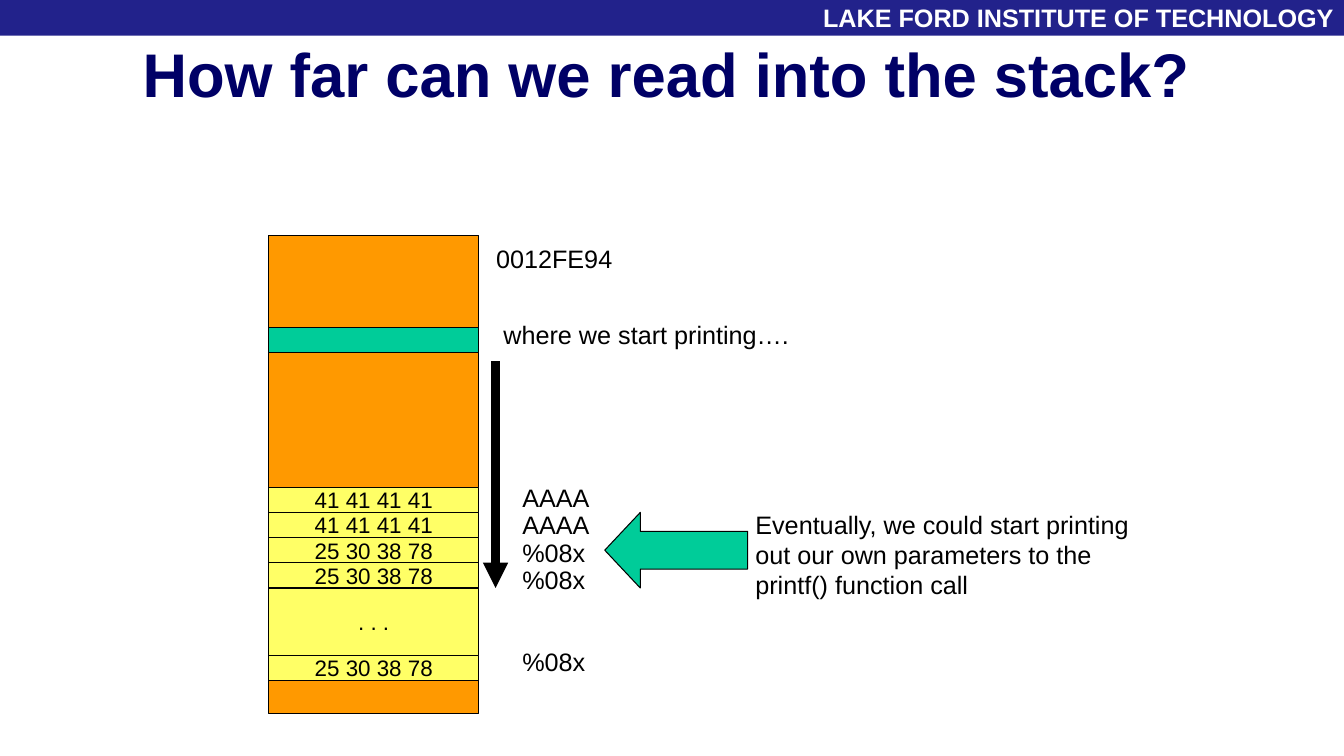
from typing import NamedTuple

from lxml import etree
from pptx import Presentation
from pptx import util as u
from pptx.dml.color import RGBColor
from pptx.enum import shapes, text
from pptx.oxml.ns import qn

PX = 9525
FONT = "Arial"
BLACK, WHITE = "000000", "FFFFFF"
NAVY, TITLE_BLUE = "22228B", "000066"
ORANGE, GREEN, YELLOW = "FF9900", "00CC99", "FFFF66"
STACK_LEFT, STACK_WIDTH, ROW = 256, 200, 24


class Cell(NamedTuple):
    top: int
    height: int
    fill: str
    words: str = ""


class Label(NamedTuple):
    left: int
    top: int
    width: int
    height: int
    words: str
    wrap: bool = False


def px(length: int) -> u.Emu:
    return u.Emu(length * PX)


def colour(value: str) -> RGBColor:
    return RGBColor.from_string(value)


def write(frame, words: str, *, size: int = 18, ink: str = BLACK, bold: bool = False,
          align=text.PP_ALIGN.LEFT, anchor=text.MSO_ANCHOR.TOP,
          wrap: bool = True, spacing: float = 1.0) -> None:
    frame.word_wrap = wrap
    frame.vertical_anchor = anchor
    frame.text = words
    for para in frame.paragraphs:
        para.alignment = align
        para.line_spacing = spacing
        for span in para.runs:
            span.font.name = FONT
            span.font.size = u.Pt(size)
            span.font.bold = bold
            span.font.color.rgb = colour(ink)


def add_block(page, kind, left: int, top: int, width: int, height: int,
              fill: str, outlined: bool = True):
    block = page.shapes.add_shape(kind, px(left), px(top), px(width), px(height))
    block.shadow.inherit = False
    block.fill.solid()
    block.fill.fore_color.rgb = colour(fill)
    if outlined:
        block.line.color.rgb = colour(BLACK)
        block.line.width = u.Pt(0.75)
    else:
        block.line.fill.background()
    return block


def add_cell(page, cell: Cell) -> None:
    block = add_block(page, shapes.MSO_SHAPE.RECTANGLE, STACK_LEFT, cell.top,
                      STACK_WIDTH, cell.height, cell.fill)
    if cell.words:
        block.text_frame.margin_top = block.text_frame.margin_bottom = 0
        write(block.text_frame, cell.words, size=16, wrap=False,
              align=text.PP_ALIGN.CENTER, anchor=text.MSO_ANCHOR.MIDDLE)


def add_label(page, label: Label, spacing: float = 1.0):
    box = page.shapes.add_textbox(px(label.left), px(label.top),
                                  px(label.width), px(label.height))
    write(box.text_frame, label.words, wrap=label.wrap, spacing=spacing)
    return box


def add_arrow(page, x: int, top: int, bottom: int) -> None:
    arrow = page.shapes.add_connector(shapes.MSO_CONNECTOR.STRAIGHT,
                                      px(x), px(top), px(x), px(bottom))
    arrow.line.color.rgb = colour(BLACK)
    arrow.line.width = u.Pt(6)
    etree.SubElement(arrow.line._get_or_add_ln(), qn("a:tailEnd"), type="triangle")
    etree.SubElement(arrow._element.spPr, qn("a:effectLst"))


def main() -> None:
    deck = Presentation()
    deck.slide_width, deck.slide_height = px(1280), px(720)
    page = deck.slides.add_slide(deck.slide_layouts[5])

    # Header band and title
    band = add_block(page, shapes.MSO_SHAPE.RECTANGLE, 0, 0, 1280, 34, NAVY, outlined=False)
    write(band.text_frame, "LAKE FORD INSTITUTE OF TECHNOLOGY", ink=WHITE, bold=True,
          align=text.PP_ALIGN.RIGHT, anchor=text.MSO_ANCHOR.MIDDLE)
    title = page.shapes.title
    title.left, title.top, title.width, title.height = px(54), px(29), px(1162), px(120)
    write(title.text_frame, "How far can we read into the stack?", size=44,
          ink=TITLE_BLUE, bold=True, align=text.PP_ALIGN.CENTER)

    # Stack, with the format string's bytes as rows
    add_cell(page, Cell(224, 456, ORANGE))
    add_cell(page, Cell(312, ROW, GREEN))
    letters, specifier = "41 41 41 41", "25 30 38 78"
    rows = [(letters, ROW), (letters, ROW), (specifier, ROW), (specifier, ROW),
            (". . .", 64), (specifier, ROW)]
    top = 464
    for words, height in rows:
        add_cell(page, Cell(top, height, YELLOW, words))
        top += height

    # Labels beside the stack
    for label in (
        Label(463, 227, 130, 38, "0012FE94"),
        Label(470, 299, 291, 38, "where we start printing…."),
        Label(710, 480, 410, 96, "Eventually, we could start printing out our own "
              "parameters to the printf() function call", wrap=True),
    ):
        add_label(page, label)
    printed = add_label(page, Label(488, 458, 83, 192, "AAAA\nAAAA\n%08x\n%08x\n%08x"),
                        spacing=0.9)
    printed.text_frame.paragraphs[-1].space_before = u.Pt(39)

    # Reading direction and pointer to our own parameters
    add_arrow(page, 472, 344, 560)
    pointer = add_block(page, shapes.MSO_SHAPE.LEFT_ARROW, 576, 488, 136, 72, GREEN)
    pointer.adjustments[0], pointer.adjustments[1] = 0.5, 0.47

    deck.save("out.pptx")


if __name__ == "__main__":
    main()
